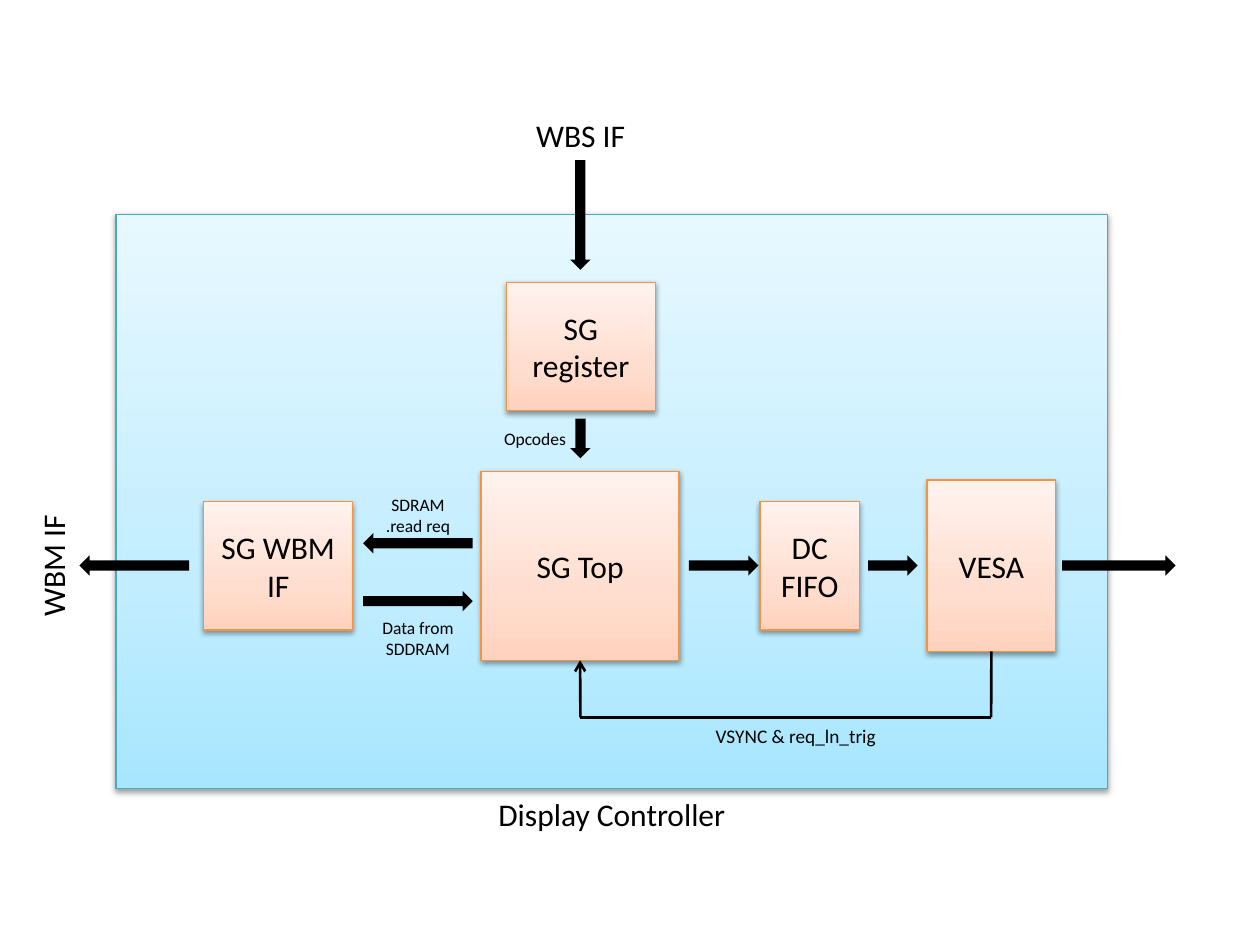
import copy
from dataclasses import dataclass

import lxml.etree
import pptx
import pptx.dml.color
import pptx.enum.shapes
import pptx.enum.text
import pptx.oxml.ns
import pptx.util

Cm = pptx.util.Cm
Pt = pptx.util.Pt
qn = pptx.oxml.ns.qn
SHAPE = pptx.enum.shapes.MSO_SHAPE
ALIGN = pptx.enum.text.PP_ALIGN


def rgb(value):
    return pptx.dml.color.RGBColor.from_string(value)


@dataclass(frozen=True)
class Theme:
    font: str = "Calibri"
    ink: str = "000000"
    panel_stops: tuple = ("A7E6FF", "C1EDFF", "E7F8FF")
    panel_edge: str = "46AAC5"
    block_stops: tuple = ("FFD2BD", "FFDED0", "FFF2ED")
    block_edge: str = "F69240"
    stop_positions: tuple = (0, 0.35, 1)
    title: int = 18
    signal: int = 11
    note: int = 10
    arrow_width: float = 0.41


class Diagram:
    def __init__(self, slide, theme):
        self.slide = slide
        self.theme = theme

    def set_text(self, frame, text, size, align=ALIGN.CENTER):
        frame.word_wrap = True
        paragraph = frame.paragraphs[0]
        paragraph.text = text
        paragraph.alignment = align
        paragraph._p.get_or_add_pPr().set("rtl", "1")
        paragraph.font.name = self.theme.font
        paragraph.font.size = Pt(size)
        paragraph.font.color.rgb = rgb(self.theme.ink)

    def gradient(self, shape, colours):
        shape.fill.gradient()
        shape.fill.gradient_angle = 90
        stop_list = shape._element.spPr.find(qn("a:gradFill")).find(qn("a:gsLst"))
        stop_list.append(copy.deepcopy(stop_list[-1]))
        for stop, position, colour in zip(
            shape.fill.gradient_stops, self.theme.stop_positions, colours
        ):
            stop.position = position
            stop.color.rgb = rgb(colour)

    def cast_shadow(self, shape):
        shape.shadow.inherit = False
        effects = shape._element.spPr.find(qn("a:effectLst"))
        shadow = lxml.etree.SubElement(
            effects, qn("a:outerShdw"), blurRad=str(Pt(3.1)), dist=str(Pt(1.6)),
            dir="5400000", rotWithShape="0",
        )
        colour = lxml.etree.SubElement(shadow, qn("a:srgbClr"), val=self.theme.ink)
        lxml.etree.SubElement(colour, qn("a:alpha"), val="38000")

    def box(self, bounds, stops, edge):
        shape = self.slide.shapes.add_shape(SHAPE.RECTANGLE, *map(Cm, bounds))
        self.gradient(shape, stops)
        shape.line.color.rgb = rgb(edge)
        shape.line.width = Pt(0.75)
        self.cast_shadow(shape)
        return shape

    def panel(self, *bounds):
        return self.box(bounds, self.theme.panel_stops, self.theme.panel_edge)

    def block(self, text, *bounds):
        shape = self.box(bounds, self.theme.block_stops, self.theme.block_edge)
        shape.text_frame.vertical_anchor = pptx.enum.text.MSO_ANCHOR.MIDDLE
        self.set_text(shape.text_frame, text, self.theme.title)
        return shape

    def arrow(self, left, middle, length, rotation=0):
        width = self.theme.arrow_width
        shape = self.slide.shapes.add_shape(
            SHAPE.RIGHT_ARROW, Cm(left), Cm(middle - width / 2), Cm(length), Cm(width)
        )
        self.finish_arrow(shape)
        shape.rotation = rotation

    def down_arrow(self, center, top, length):
        width = self.theme.arrow_width
        self.finish_arrow(self.slide.shapes.add_shape(
            SHAPE.DOWN_ARROW, Cm(center - width / 2), Cm(top), Cm(width), Cm(length)
        ))

    def finish_arrow(self, shape):
        shape.fill.solid()
        shape.fill.fore_color.rgb = rgb(self.theme.ink)
        shape.line.fill.background()
        shape.shadow.inherit = False

    def label(self, text, size, *bounds, align=ALIGN.CENTER, rotation=0):
        shape = self.slide.shapes.add_textbox(*map(Cm, bounds))
        self.set_text(shape.text_frame, text, size, align)
        shape.text_frame.auto_size = pptx.enum.text.MSO_AUTO_SIZE.SHAPE_TO_FIT_TEXT
        shape.rotation = rotation

    def wire(self, start, end, head=False):
        line = self.slide.shapes.add_connector(
            pptx.enum.shapes.MSO_CONNECTOR.STRAIGHT, *map(Cm, start + end)
        )
        line.line.color.rgb = rgb(self.theme.ink)
        line.line.width = Pt(1.5)
        if head:
            lxml.etree.SubElement(line.line._get_or_add_ln(), qn("a:tailEnd"), type="arrow")
        lxml.etree.SubElement(line._element.spPr, qn("a:effectLst"))
        return line


def main():
    deck = pptx.Presentation()
    deck.slide_width, deck.slide_height = Cm(25.4), Cm(19.05)
    theme = Theme()
    diagram = Diagram(deck.slides.add_slide(deck.slide_layouts[6]), theme)
    axis, column = 11.4, 11.7

    diagram.panel(2.34, 4.32, 19.99, 11.58)
    diagram.block("SG WBM IF", 4.11, 10.11, 3, 2.59)
    sg_top = diagram.block("SG Top", 9.7, 9.5, 3.99, 3.81)
    diagram.block("SG register", 10.21, 5.69, 3, 2.59)
    diagram.block("DC FIFO", 15.32, 10.11, 2.01, 2.59)
    vesa = diagram.block("VESA", 18.69, 9.68, 2.59, 3.45)

    for left, length in ((13.89, 1.4), (17.5, 1), (21.41, 2.29)):
        diagram.arrow(left, axis, length)
    diagram.arrow(1.6, axis, 2.21, rotation=180)
    diagram.arrow(7.32, 10.95, 2.21, rotation=180)
    diagram.arrow(7.32, 12.12, 2.21)
    diagram.arrow(column - 0.4, 8.84, 0.8, rotation=90)
    diagram.down_arrow(column, 3.23, 2.21)

    diagram.label("SDRAM read req.", theme.note, 7.32, 9.83, 2.21, 1.12)
    diagram.label("Data from SDDRAM", theme.note, 7.32, 12.32, 2.21, 1.12)
    diagram.label("Opcodes", theme.note, 9.68, 8.51, 2.21, 0.69)
    diagram.label("VSYNC & req_ln_trig", theme.signal, 13.31, 14.48, 4.6, 0.74,
                  align=ALIGN.RIGHT)
    diagram.label("WBS IF", theme.title, 10.36, 2.21, 2.69, 1.02)
    diagram.label("WBM IF", theme.title, -0.28, 10.9, 2.69, 1.02, rotation=270)
    diagram.label("Display Controller", theme.title, 8.84, 15.9, 6.99, 1.02)

    vesa_x, return_y = 19.98, 14.46
    vesa_drop = diagram.wire((vesa_x, 13.13), (vesa_x, return_y))
    vesa_drop.begin_connect(vesa, 2)
    diagram.wire((vesa_x, return_y), (column, return_y))
    sg_top_rise = diagram.wire((column, return_y), (column, 13.31), head=True)
    sg_top_rise.end_connect(sg_top, 2)

    deck.save("out.pptx")


if __name__ == "__main__":
    main()
